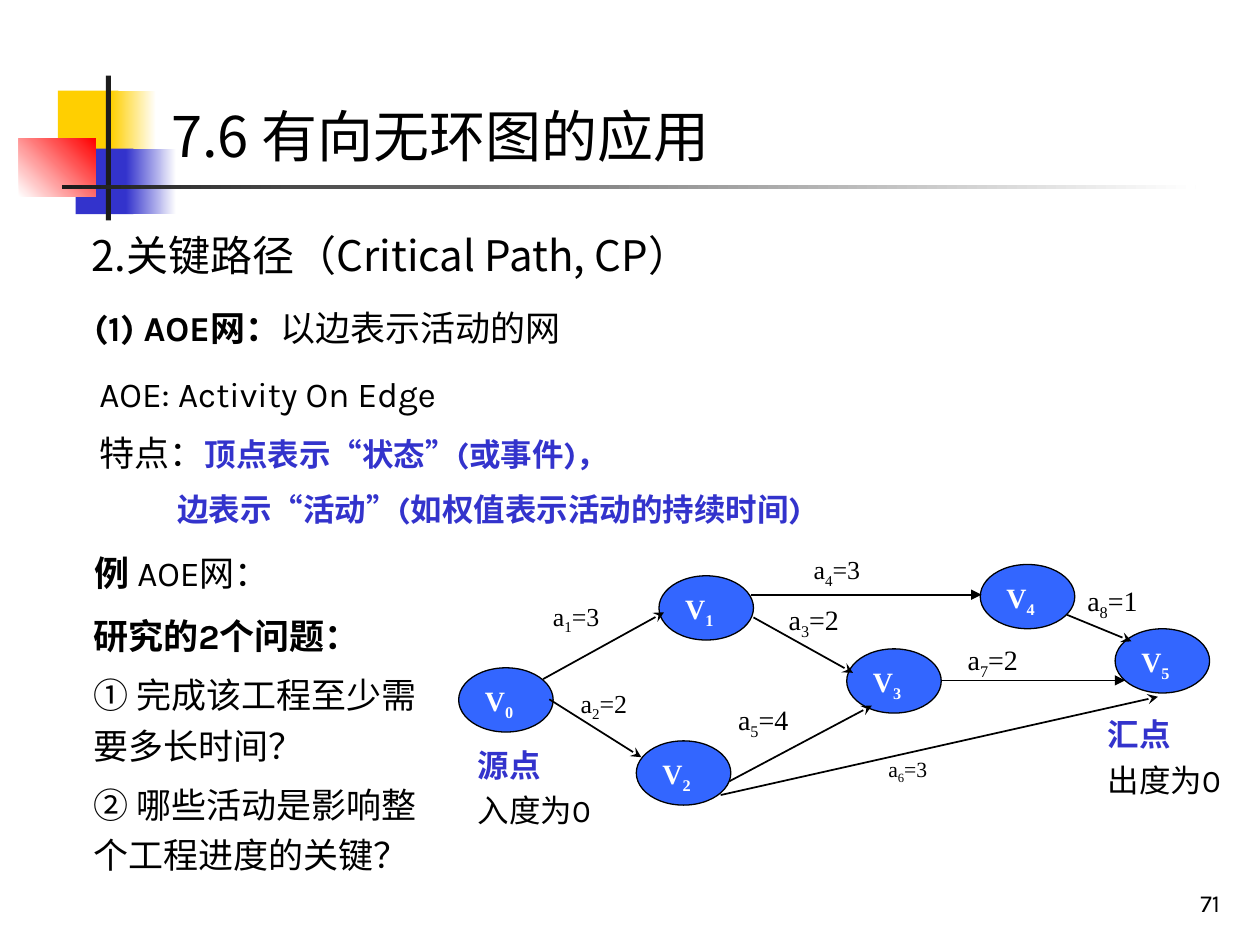
import pptx
import pptx.dml.color
import pptx.enum.shapes
import pptx.enum.text
import pptx.oxml.ns
import pptx.util
from lxml import etree

# Grid: 100 columns by 75 rows on a 10 x 7.5 inch slide
WIDTH, HEIGHT = pptx.util.Inches(10), pptx.util.Inches(7.5)
COLUMN, ROW = WIDTH / 100, HEIGHT / 75

SANS, CJK, TITLE, SERIF = "Karla", "Noto Sans CJK SC", "Noto Sans CJK JP", "Times New Roman"
BLACK, WHITE, BLUE, YELLOW, DARK = "000000", "FFFFFF", "3333CC", "FFCF01", "1C1C1C"
LEFT, RIGHT = pptx.enum.text.PP_ALIGN.LEFT, pptx.enum.text.PP_ALIGN.RIGHT
TOP, BOTTOM = pptx.enum.text.MSO_ANCHOR.TOP, pptx.enum.text.MSO_ANCHOR.BOTTOM
SHAPES = pptx.enum.shapes.MSO_SHAPE
NODE_SIZE = (7.5, 5.1)

# Vertices: left and top of each ellipse
VERTICES = [(36.4, 53), (52.3, 45.7), (50.5, 58.8), (67.2, 51.5), (77.8, 44.8), (88.5, 49.9)]

# Edges: duration, start, end, arrowhead, label place, label size, label inset, line spacing
EDGES = [
    (3, (43.1, 53.9), (52.7, 48.6), "stealth", (42.9, 47.2, 8.7, 3.8), 14.8, 1, 0.9),
    (2, (43.6, 55.5), (50.9, 60.1), "stealth", (45.1, 54.1, 10.8, 3.8), 14.8, 1, 0.9),
    (2, (59.8, 49), (67.7, 53.4), "stealth", (62.6, 47.3, 6.3, 4.7), 16, 0, 1),
    (3, (59.6, 47.2), (77.9, 47.2), "triangle", (63.6, 43.5, 8.1, 4), 14.8, 1, 0.9),
    (4, (57.9, 62), (69.2, 56), "stealth", (57.6, 55.3, 7.6, 4.2), 16, 1, 1),
    (3, (57.2, 63.1), (91.9, 55.3), "stealth", (70.5, 59.7, 6, 3.5), 12.4, 0, 0.8),
    (2, (74.8, 54), (89.3, 54), "triangle", (76.8, 50.5, 6.4, 4.2), 16, 0, 1),
    (1, (84.7, 48.8), (89.8, 50.9), "stealth", (86.3, 45.8, 7, 4.4), 16, 0, 1),
]


def color(code):
    return pptx.dml.color.RGBColor.from_string(code)


def place(left, top, width, height):
    lengths = left * COLUMN, top * ROW, width * COLUMN, height * ROW
    return [pptx.util.Emu(round(length)) for length in lengths]


def span(text, size, font=SANS, ink=BLACK, bold=False, baseline=0):
    return dict(text=text, size=size, font=font, ink=ink, bold=bold, baseline=baseline)


def indexed(letter, index, size, rest="", **style):
    """A letter with a subscript, and what follows it."""
    spans = [span(letter, size, SERIF, **style),
             span(str(index), size, SERIF, baseline=-25, **style)]
    return spans + ([span(rest, size, SERIF, **style)] if rest else [])


def write(shape, paragraphs, inset=(1, 0.5), anchor=TOP, align=LEFT,
          spacing=1, before=0, indents=()):
    frame = shape.text_frame
    frame.word_wrap = True
    frame.vertical_anchor = anchor
    frame.margin_left = frame.margin_right = round(inset[0] * COLUMN)
    frame.margin_top = frame.margin_bottom = round(inset[1] * ROW)
    for index, spans in enumerate(paragraphs):
        para = frame.add_paragraph() if index else frame.paragraphs[0]
        para.alignment = align
        if spacing != 1:
            para.line_spacing = spacing
        if index and before:
            para.space_before = pptx.util.Pt(before)
        if index < len(indents):
            para._p.get_or_add_pPr().set("marL", str(round(indents[index] * COLUMN)))
        for item in spans:
            run = para.add_run()
            run.text = item["text"]
            run.font.size = pptx.util.Pt(item["size"])
            run.font.bold = item["bold"]
            run.font.color.rgb = color(item["ink"])
            run.font.name = item["font"]
            properties = run._r.get_or_add_rPr()
            if item["baseline"]:
                properties.set("baseline", str(item["baseline"] * 1000))
            asian = etree.SubElement(properties, pptx.oxml.ns.qn("a:ea"))
            asian.set("typeface", TITLE if item["font"] == TITLE else CJK)


def add_text(page, box, paragraphs, **layout):
    write(page.shapes.add_textbox(*place(*box)), paragraphs, **layout)


def add_block(page, box, first, last=None, angle=0):
    """A bar without outline, solid or fading from first to last."""
    block = page.shapes.add_shape(SHAPES.RECTANGLE, *place(*box))
    block.shadow.inherit = False
    block.line.fill.background()
    if last is None:
        block.fill.solid()
        block.fill.fore_color.rgb = color(first)
        return
    block.fill.gradient()
    block.fill.gradient_angle = angle
    for stop, code, position in zip(block.fill.gradient_stops, (first, last), (0, 1)):
        stop.color.rgb = color(code)
        stop.position = position


def add_vertex(page, index, corner):
    vertex = page.shapes.add_shape(SHAPES.OVAL, *place(*corner, *NODE_SIZE))
    vertex.shadow.inherit = False
    vertex.fill.solid()
    vertex.fill.fore_color.rgb = color("3366FF")
    vertex.line.color.rgb = color(BLACK)
    vertex.line.width = pptx.util.Pt(0.75)
    write(vertex, [indexed("V", index, 16, ink=WHITE, bold=True)])


def add_arrow(page, start, end, head):
    arrow = page.shapes.add_connector(
        pptx.enum.shapes.MSO_CONNECTOR.STRAIGHT, *place(*start, *end))
    arrow.line.color.rgb = color(BLACK)
    arrow.line.width = pptx.util.Pt(1)
    tip = etree.SubElement(arrow.line._get_or_add_ln(), pptx.oxml.ns.qn("a:tailEnd"))
    tip.set("type", head)
    etree.SubElement(arrow._element.spPr, pptx.oxml.ns.qn("a:effectLst"))


def add_decoration(page):
    add_block(page, (4.6, 7.2, 4.8, 5.2), YELLOW)
    add_block(page, (8.8, 7.2, 3.6, 5.2), YELLOW, WHITE)
    add_block(page, (6, 11.8, 4.6, 5.2), BLUE)
    add_block(page, (10, 11.8, 4, 5.2), BLUE, WHITE)
    add_block(page, (1.5, 11, 6.1, 4.6), WHITE, "FF0000", angle=45)
    add_block(page, (8.4, 6, 0.4, 11.5), DARK)
    add_block(page, (4.9, 14.7, 90, 0.3), DARK, WHITE)


def add_notes_on_network(page):
    add_text(page, (12.6, 7.6, 87.4, 6.4), [[span("7.6 有向无环图的应用", 32, TITLE)]])
    add_text(page, (6.3, 17.7, 74, 5), [[span("2.关键路径（Critical Path, CP）", 24, CJK)]])
    add_text(page, (6.5, 23.8, 74, 4.4),
             [[span("(1) AOE网：", 20, bold=True), span("以边表示活动的网", 20)]])
    add_text(page, (6.9, 28.4, 90.1, 14.3), [
        [span("AOE: Activity On Edge", 20)],
        [span("特点：", 20), span("顶点表示“状态”(或事件)，", 18, ink=BLUE, bold=True)],
        [span("边表示“活动”(如权值表示活动的持续时间)", 18, ink=BLUE, bold=True)],
    ], spacing=1.2, before=5, indents=(0, 0, 6.2))
    add_text(page, (6.5, 42.6, 26.7, 5),
             [[span("例 ", 20, bold=True), span("AOE网：", 20)]], spacing=1.2)
    add_text(page, (7.4, 48.1, 28.1, 21.4), [
        [span("研究的2个问题：", 20, bold=True)],
        [span("① 完成该工程至少需要多长时间？", 20)],
        [span("② 哪些活动是影响整个工程进度的关键？", 20)],
    ], inset=(0, 0), anchor=BOTTOM, spacing=1.2, before=5)


def add_network(page):
    for index, corner in enumerate(VERTICES):
        add_vertex(page, index, corner)
    for number, edge in enumerate(EDGES, 1):
        duration, start, end, head, box, size, inset, spacing = edge
        add_arrow(page, start, end, head)
        add_text(page, box, [indexed("a", number, size, f"={duration}")],
                 inset=(inset, 0.5), spacing=spacing)
    # Source and sink captions
    for left, top, name, degree in ((37.9, 59.2, "源点", "入度为0"),
                                    (87.9, 56.8, "汇点", "出度为0")):
        add_text(page, (left, top, 12.1, 6.6),
                 [[span(name, 18, ink=BLUE, bold=True)], [span(degree, 18)]],
                 inset=(0, 0), anchor=BOTTOM, before=4.5)


def main():
    deck = pptx.Presentation()
    deck.slide_width, deck.slide_height = WIDTH, HEIGHT
    page = deck.slides.add_slide(deck.slide_layouts[6])
    add_decoration(page)
    add_notes_on_network(page)
    add_network(page)
    add_text(page, (77, 68.3, 20.8, 5), [[span("71", 14)]], anchor=BOTTOM, align=RIGHT)
    deck.save("out.pptx")


if __name__ == "__main__":
    main()
